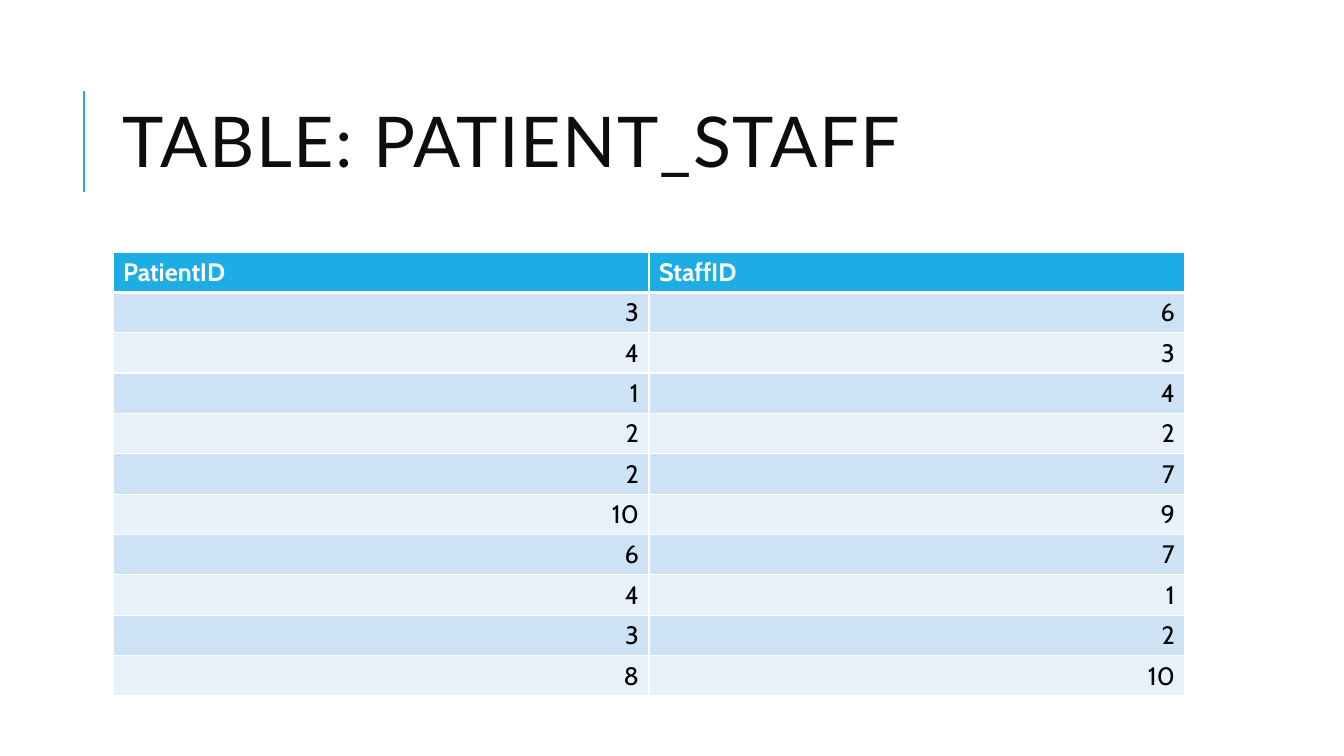
from lxml import etree
from pptx import Presentation
from pptx.dml.color import RGBColor
from pptx.enum.shapes import MSO_CONNECTOR
from pptx.enum.text import MSO_ANCHOR, PP_ALIGN
from pptx.oxml.ns import qn
from pptx.util import Pt

LEFT, RIGHT = PP_ALIGN.LEFT, PP_ALIGN.RIGHT
MIDDLE = MSO_ANCHOR.MIDDLE
STRAIGHT = MSO_CONNECTOR.STRAIGHT

BLUE = RGBColor(0x1C, 0xAD, 0xE4)
BAND_DARK = RGBColor(0xCD, 0xE3, 0xF5)
BAND_LIGHT = RGBColor(0xE8, 0xF1, 0xFA)
INK = RGBColor(0x0D, 0x0D, 0x0D)
BLACK = RGBColor(0, 0, 0)
WHITE = RGBColor(255, 255, 255)

SLIDE_W, SLIDE_H = 1344, 756
CONTENT_X, CONTENT_W = 113, 1072
ROW_H = 40
HEADERS = ("PatientID", "StaffID")
PAIRS = [(3, 6), (4, 3), (1, 4), (2, 2), (2, 7),
         (10, 9), (6, 7), (4, 1), (3, 2), (8, 10)]


def px(length):
    return round(length * 914400 * 10 / 1008)


def write(frame, text, font="Cabin", size=18, color=BLACK, bold=False,
          align=LEFT, line_spacing=None, tracking=None):
    paragraph = frame.paragraphs[0]
    paragraph.alignment = align
    paragraph.line_spacing = line_spacing
    run = paragraph.add_run()
    run.text = text
    run.font.name = font
    run.font.size = Pt(size)
    run.font.bold = bold
    run.font.color.rgb = color
    if tracking:
        run.font._element.set("spc", str(tracking * 100))


prs = Presentation()
prs.slide_width, prs.slide_height = px(SLIDE_W), px(SLIDE_H)
slide = prs.slides.add_slide(prs.slide_layouts[6])

# Accent line beside the title
accent = slide.shapes.add_connector(STRAIGHT, px(84), px(192), px(84), px(91))
accent.line.color.rgb = BLUE
accent.line.width = Pt(1.5)
etree.SubElement(accent._element.spPr, qn("a:effectLst"))

# Title
title = slide.shapes.add_textbox(px(CONTENT_X), px(65), px(CONTENT_W), px(165))
title.text_frame.word_wrap = True
title.text_frame.vertical_anchor = MIDDLE
write(title.text_frame, "TABLE: PATIENT_STAFF", font="Lato", size=50,
      color=INK, line_spacing=0.8, tracking=1)

# Patient and staff table
rows = [HEADERS, *PAIRS]
patient_staff = slide.shapes.add_table(
    len(rows), len(HEADERS), px(CONTENT_X), px(252),
    px(CONTENT_W), px(ROW_H * len(rows))).table

for r, values in enumerate(rows):
    is_header = r == 0
    band = BAND_DARK if r % 2 else BAND_LIGHT
    for c, value in enumerate(values):
        cell = patient_staff.cell(r, c)
        cell.vertical_anchor = MIDDLE
        cell.fill.solid()
        cell.fill.fore_color.rgb = BLUE if is_header else band
        write(cell.text_frame, str(value), bold=is_header,
              color=WHITE if is_header else BLACK,
              align=LEFT if is_header else RIGHT)

        # White borders, thicker between header and body
        widths = {"lnL": 1, "lnR": 1, "lnT": 3 if r == 1 else 1,
                  "lnB": 3 if is_header else 1}
        properties = cell._tc.get_or_add_tcPr()
        for position, (side, width) in enumerate(widths.items()):
            border = etree.Element(qn("a:" + side), w=str(Pt(width)))
            fill = etree.SubElement(border, qn("a:solidFill"))
            etree.SubElement(fill, qn("a:srgbClr"), val=str(WHITE))
            properties.insert(position, border)

prs.save("out.pptx")
